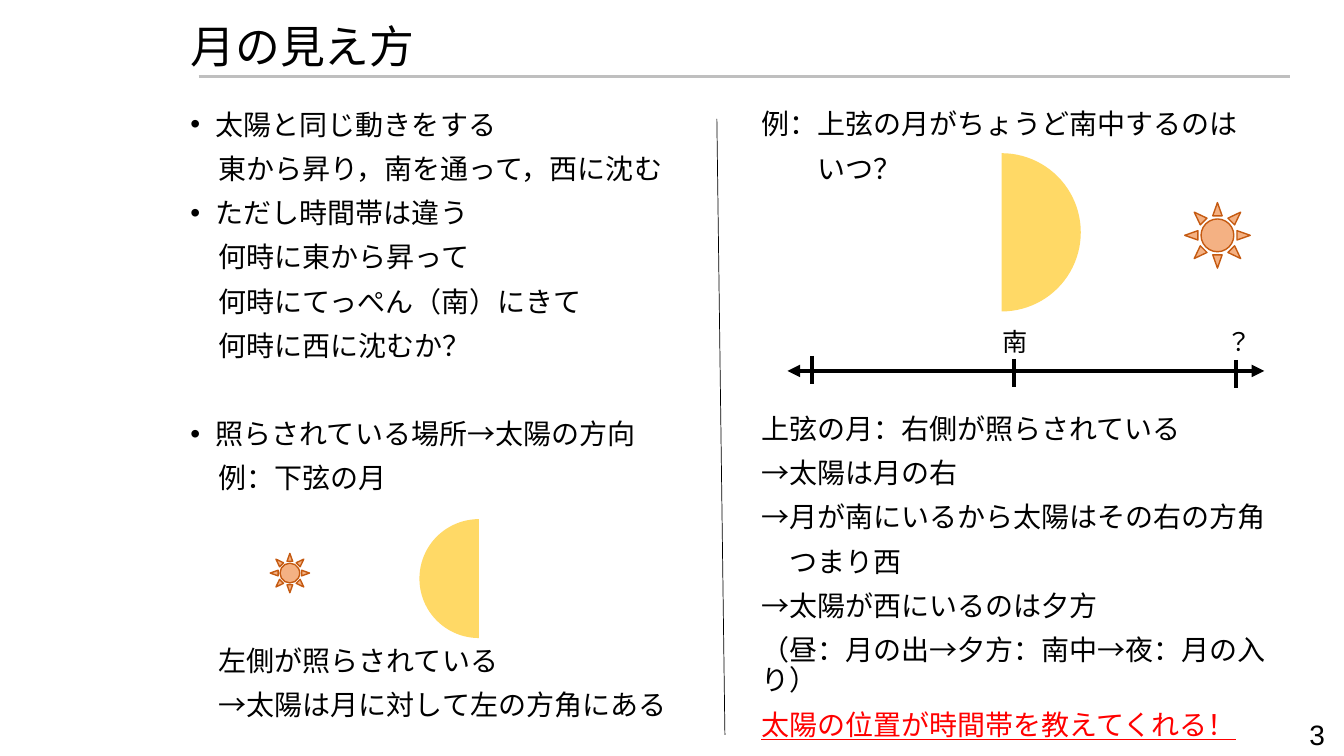
from dataclasses import dataclass

from lxml.etree import SubElement
from pptx import Presentation
from pptx.dml.color import RGBColor
from pptx.enum.shapes import MSO_CONNECTOR as Connector, MSO_SHAPE as Shape
from pptx.enum.text import MSO_ANCHOR as Anchor, PP_ALIGN as Align
from pptx.oxml.ns import qn
from pptx.util import Inches, Pt


@dataclass(frozen=True)
class Theme:
    ink: str = "000000"
    accent: str = "FF0000"
    rule: str = "BFBFBF"
    moon: str = "FFD966"
    sun: str = "F4B183"
    sun_edge: str = "C55A11"
    japanese: str = "Noto Sans CJK JP"
    latin: str = "Arial"
    title: int = 32
    body: int = 20
    label: int = 18


THEME = Theme()
EM = THEME.body / 72       # one full-width character, in inches
BULLET_INDENT = 0.25
PARA_GAP = 10
SECTION_GAP = 41.6         # paragraph gap plus one free line

LEFT_TEXT = [
    ("太陽と同じ動きをする", dict(bullet=True)),
    ("東から昇り，南を通って，西に沈む", dict(indent=EM)),
    ("ただし時間帯は違う", dict(bullet=True)),
    ("何時に東から昇って", dict(indent=EM)),
    ("何時にてっぺん（南）にきて", dict(indent=EM)),
    ("何時に西に沈むか？", dict(indent=EM)),
    ("照らされている場所→太陽の方向", dict(bullet=True, before=SECTION_GAP)),
    ("例：下弦の月", dict(indent=EM)),
]
LEFT_RESULT = [
    ("左側が照らされている", dict(indent=EM)),
    ("→太陽は月に対して左の方角にある", dict(indent=EM)),
]
QUESTION = [
    ("例：上弦の月がちょうど南中するのは", {}),
    ("いつ？", dict(indent=2 * EM)),
]
ANSWER = [
    ("上弦の月：右側が照らされている", {}),
    ("→太陽は月の右", {}),
    ("→月が南にいるから太陽はその右の方角", {}),
    ("つまり西", dict(indent=EM)),
    ("→太陽が西にいるのは夕方", {}),
    ("（昼：月の出→夕方：南中→夜：月の入り）", {}),
    ("太陽の位置が時間帯を教えてくれる！", dict(color=THEME.accent, underline=True)),
]


def rgb(color):
    return RGBColor.from_string(color)


def write(para, text, *, size=THEME.body, font=THEME.japanese, color=THEME.ink,
          underline=None, align=Align.LEFT, spacing=0.9, before=PARA_GAP,
          indent=0, bullet=False):
    """Fill one paragraph with text in the given format."""
    para.alignment = align
    para.line_spacing = spacing
    para.space_before = Pt(before)
    span = para.add_run()
    span.text = text
    span.font.size = Pt(size)
    span.font.name = font
    span.font.color.rgb = rgb(color)
    span.font.underline = underline
    SubElement(span.font._element, qn("a:ea"), typeface=THEME.japanese)

    # Indent and bullet
    props = para._p.get_or_add_pPr()
    if bullet:
        indent = BULLET_INDENT
        props.set("indent", str(-Inches(indent)))
        SubElement(props, qn("a:buFont"), typeface=THEME.latin)
        SubElement(props, qn("a:buChar"), char="•")
    props.set("marL", str(Inches(indent)))


def add_text(page, left, top, width, height, lines, anchor=Anchor.TOP):
    box = page.shapes.add_textbox(
        Inches(left), Inches(top), Inches(width), Inches(height))
    frame = box.text_frame
    frame.word_wrap = True
    frame.vertical_anchor = anchor
    for index, (text, style) in enumerate(lines):
        para = frame.add_paragraph() if index else frame.paragraphs[0]
        write(para, text, **style)


def add_line(page, start, end, color=THEME.ink, width=3, arrows=False):
    line = page.shapes.add_connector(
        Connector.STRAIGHT, *map(Inches, start), *map(Inches, end))
    line.line.color.rgb = rgb(color)
    line.line.width = Pt(width)
    props = line.element.spPr
    if arrows:
        for tip in ("a:headEnd", "a:tailEnd"):
            SubElement(props.find(qn("a:ln")), qn(tip), type="triangle")
    SubElement(props, qn("a:effectLst"))


def add_disc(page, kind, left, top, size, fill):
    disc = page.shapes.add_shape(
        kind, Inches(left), Inches(top), Inches(size), Inches(size))
    disc.shadow.inherit = False
    disc.fill.solid()
    disc.fill.fore_color.rgb = rgb(fill)
    return disc


def add_sun(page, left, top, size):
    sun = add_disc(page, Shape.SUN, left, top, size, THEME.sun)
    sun.line.color.rgb = rgb(THEME.sun_edge)
    sun.line.width = Pt(1)


def add_half_moon(page, left, top, size, lit_left):
    moon = add_disc(page, Shape.PIE, left, top, size, THEME.moon)
    moon.line.fill.background()
    down, up = 54, 162     # 90 and 270 degrees, in units of 100000/60000
    moon.adjustments[0], moon.adjustments[1] = (
        (down, up) if lit_left else (up, down))


def add_horizon(page):
    """Draw the sky axis with its ticks and direction labels."""
    add_line(page, (12.54, 3.68), (7.81, 3.68), arrows=True)
    for x, top in ((8.05, 3.53), (10.06, 3.56), (12.26, 3.57)):
        add_line(page, (x, top), (x, top + 0.28))
    label = dict(size=THEME.label, font=THEME.latin, align=Align.CENTER,
                 spacing=1.0, before=0)
    for text, left in (("南", 9.83), ("？", 12.05)):
        add_text(page, left, 3.19, 0.48, 0.4, [(text, label)])


def main():
    deck = Presentation()
    deck.slide_width, deck.slide_height = Inches(13.33), Inches(7.5)
    page = deck.slides.add_slide(deck.slide_layouts[6])

    # Title
    add_line(page, (1.97, 0.76), (12.79, 0.76), THEME.rule, 2.25)
    add_text(page, 1.79, 0.12, 11.32, 0.73,
             [("月の見え方", dict(size=THEME.title, before=0))], Anchor.MIDDLE)

    # Left column: how the moon moves
    add_text(page, 1.79, 1.05, 5.38, 3.92, LEFT_TEXT)
    add_sun(page, 2.68, 5.49, 0.39)
    add_half_moon(page, 4.16, 5.15, 1.18, lit_left=True)
    add_text(page, 1.79, 6.37, 5.32, 0.92, LEFT_RESULT)

    # Column divider
    add_line(page, (7.11, 1.18), (7.19, 7.29), width=0.5)

    # Right column: worked example
    add_text(page, 7.45, 1.05, 5.4, 0.97, QUESTION)
    add_sun(page, 11.75, 2.01, 0.65)
    add_half_moon(page, 9.15, 1.52, 1.57, lit_left=False)
    add_horizon(page)
    add_text(page, 7.45, 4.07, 5.76, 3.22, ANSWER)

    # Page number
    number = dict(font=THEME.latin, align=Align.RIGHT, spacing=1.0, before=0)
    add_text(page, 12.57, 7.06, 0.67, 0.44, [("3", number)], Anchor.MIDDLE)

    deck.save("out.pptx")


if __name__ == "__main__":
    main()
